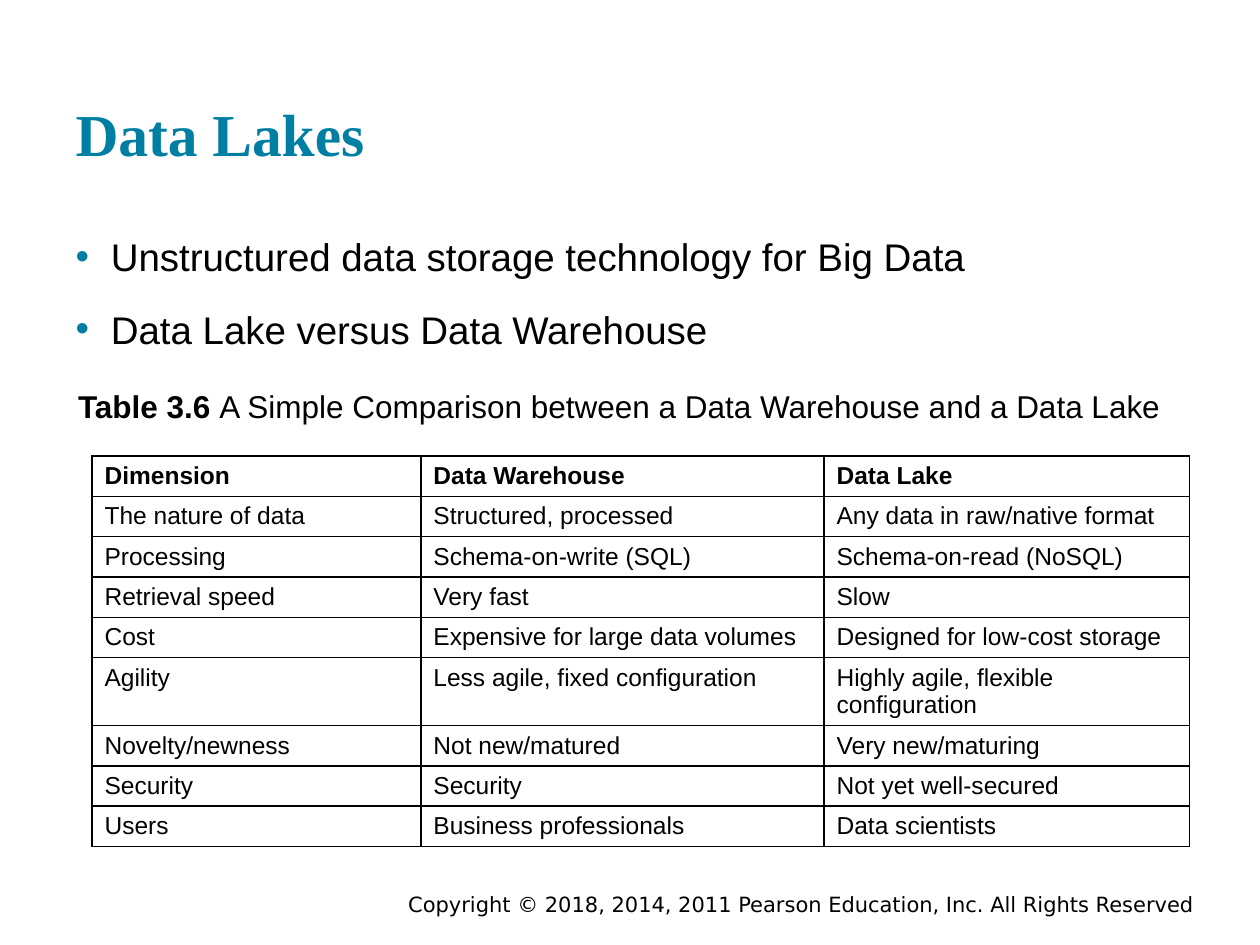
from lxml import etree
from pptx import Presentation
from pptx.dml.color import RGBColor
from pptx.enum.text import MSO_ANCHOR, MSO_AUTO_SIZE, PP_ALIGN
from pptx.oxml.ns import qn
from pptx.util import Inches, Pt

LEFT, RIGHT = PP_ALIGN.LEFT, PP_ALIGN.RIGHT
TOP, BOTTOM = MSO_ANCHOR.TOP, MSO_ANCHOR.BOTTOM
FIXED = MSO_AUTO_SIZE.NONE
TWO_CONTENT = 3

BULLETS = [
    "Unstructured data storage technology for Big Data",
    "Data Lake versus Data Warehouse",
]
CAPTION = [
    ("Table 3.6 ", True),
    ("A Simple Comparison between a Data Warehouse and a Data Lake", False),
]
COMPARISON = [
    ("Dimension", "Data Warehouse", "Data Lake"),
    ("The nature of data", "Structured, processed", "Any data in raw/native format"),
    ("Processing", "Schema-on-write (SQL)", "Schema-on-read (NoSQL)"),
    ("Retrieval speed", "Very fast", "Slow"),
    ("Cost", "Expensive for large data volumes", "Designed for low-cost storage"),
    ("Agility", "Less agile, fixed configuration", "Highly agile, flexible configuration"),
    ("Novelty/newness", "Not new/matured", "Very new/maturing"),
    ("Security", "Security", "Not yet well-secured"),
    ("Users", "Business professionals", "Data scientists"),
]
COPYRIGHT = "Copyright © 2018, 2014, 2011 Pearson Education, Inc. All Rights Reserved"


def color(value):
    return RGBColor.from_string(value)


def add_text(para, text, font="Arial", size=14, bold=False, ink="000000"):
    span = para.add_run()
    span.text = text
    span.font.name = font
    span.font.size = Pt(size)
    span.font.bold = bold
    span.font.color.rgb = color(ink)


class SlideBuilder:
    accent = "007FA3"
    ink = "000000"
    paper = "FFFFFF"

    def __init__(self, page):
        self.page = page

    def frame(self, box, left, top, width, height, inset=0.1, anchor=TOP):
        """Place a text shape and return its text frame."""
        box.left, box.top = Inches(left), Inches(top)
        box.width, box.height = Inches(width), Inches(height)
        frame = box.text_frame
        frame.word_wrap = True
        frame.auto_size = FIXED
        frame.vertical_anchor = anchor
        frame.margin_left = frame.margin_right = Inches(0.1)
        frame.margin_top = frame.margin_bottom = Inches(inset)
        return frame

    def set_bullet(self, para, mark=None, indent=0.0):
        props = para._p.get_or_add_pPr()
        props.set("marL", str(Inches(indent)))
        props.set("indent", str(-Inches(indent)))
        if mark is None:
            etree.SubElement(props, qn("a:buNone"))
            return
        tint = etree.SubElement(props, qn("a:buClr"))
        etree.SubElement(tint, qn("a:srgbClr"), val=self.accent)
        etree.SubElement(props, qn("a:buFont"), typeface="Arial")
        etree.SubElement(props, qn("a:buChar"), char=mark)

    def title(self, text, *place):
        frame = self.frame(self.page.shapes.title, *place, anchor=BOTTOM)
        para = frame.paragraphs[0]
        para.alignment = LEFT
        add_text(para, text, font="Times New Roman", size=34, bold=True, ink=self.accent)

    def bullets(self, items, *place):
        frame = self.frame(self.page.placeholders[1], *place)
        for index, item in enumerate(items):
            para = frame.add_paragraph() if index else frame.paragraphs[0]
            self.set_bullet(para, "•", 0.28)
            para.space_before = Pt(15 if index else 0)
            add_text(para, item, size=22)

    def caption(self, parts, *place):
        para = self.frame(self.page.placeholders[2], *place).paragraphs[0]
        self.set_bullet(para)
        para.space_before = Pt(0)
        for text, bold in parts:
            add_text(para, text, size=18, bold=bold)

    def footer(self, text, *place):
        box = self.page.shapes.add_textbox(0, 0, 0, 0)
        para = self.frame(box, *place, inset=0.05).paragraphs[0]
        para.alignment = RIGHT
        add_text(para, text, font="DejaVu Sans", size=12)

    def set_borders(self, cell):
        props = cell._tc.get_or_add_tcPr()
        for position, side in enumerate(("a:lnL", "a:lnR", "a:lnT", "a:lnB")):
            line = etree.Element(qn(side), w=str(Pt(1)))
            fill = etree.SubElement(line, qn("a:solidFill"))
            etree.SubElement(fill, qn("a:srgbClr"), val=self.ink)
            props.insert(position, line)

    def table(self, rows, left, top, widths, row_height, tall_rows):
        heights = [tall_rows.get(row[0], row_height) for row in rows]
        table = self.page.shapes.add_table(
            len(rows), len(widths), Inches(left), Inches(top),
            Inches(sum(widths)), Inches(sum(heights))).table
        for column, width in zip(table.columns, widths):
            column.width = Inches(width)
        for row_index, (row, height) in enumerate(zip(rows, heights)):
            table.rows[row_index].height = Inches(height)
            for column_index, text in enumerate(row):
                cell = table.cell(row_index, column_index)
                cell.fill.solid()
                cell.fill.fore_color.rgb = color(self.paper)
                self.set_borders(cell)
                add_text(cell.text_frame.paragraphs[0], text, bold=row_index == 0)


def main():
    deck = Presentation()
    deck.slide_width, deck.slide_height = Inches(10), Inches(7.5)
    builder = SlideBuilder(deck.slides.add_slide(deck.slide_layouts[TWO_CONTENT]))

    # Heading and bullet list
    builder.title("Data Lakes", 0.5, 0.24, 9, 1.2)
    builder.bullets(BULLETS, 0.5, 1.75, 9, 1.11)

    # Comparison table with its caption
    builder.caption(CAPTION, 0.52, 2.97, 9, 0.42)
    builder.table(COMPARISON, 0.73, 3.62, (2.61, 3.2, 2.9), 0.32, {"Agility": 0.54})

    # Copyright line
    builder.footer(COPYRIGHT, 1.75, 7.03, 7.83, 0.22)

    deck.save("out.pptx")


if __name__ == "__main__":
    main()
